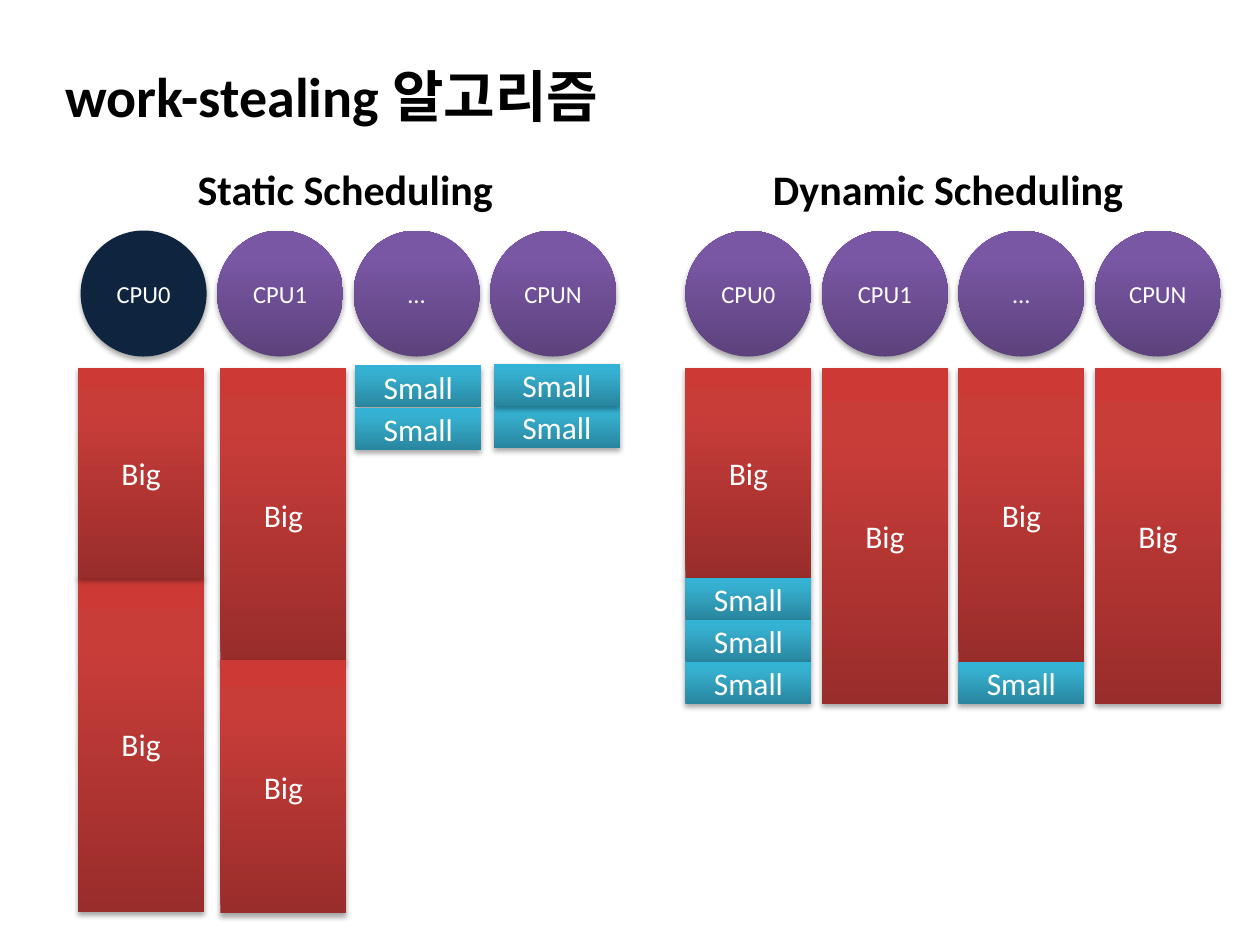
"""Slide comparing static and dynamic scheduling for the work-stealing algorithm."""
import pptx
import pptx.util
import pptx.oxml
import pptx.dml.color
import pptx.enum.shapes
import pptx.enum.text
from lxml import etree
from pptx.oxml.ns import qn

Inches, Pt = pptx.util.Inches, pptx.util.Pt
RGB = pptx.dml.color.RGBColor.from_string
SHAPE = pptx.enum.shapes.MSO_SHAPE
ALIGN = pptx.enum.text.PP_ALIGN
COLORS = {"text": "000000", "label": "FFFFFF", "shadow": "000000", "navy": "0F243E"}
GRADIENTS = {
    "cpu": ("5D427D", "7A57A5", "7A56A7"),
    "Big": ("992D2B", "C93D39", "CD3A36"),
    "Small": ("29859E", "36B0D0", "33B3D5"),
}


def add_block(shapes, kind, label, size, left, top, height, gradient):
    sp = shapes.add_shape(kind, Inches(left), Inches(top), Inches(1), Inches(height))
    if gradient:
        sp.fill.gradient()
        grad = sp._element.spPr.find(qn("a:gradFill"))
        stops = grad.find(qn("a:gsLst"))
        for old in list(stops):
            stops.remove(old)
        for pos, color in zip((0, 80000, 100000), GRADIENTS[gradient]):
            gs = etree.SubElement(stops, qn("a:gs"), pos=str(pos))
            etree.SubElement(gs, qn("a:srgbClr"), val=color)
        grad.find(qn("a:lin")).set("ang", "16200000")
    else:
        sp.fill.solid()
        sp.fill.fore_color.rgb = RGB(COLORS["navy"])
    sp.line.fill.background()
    sp.shadow.inherit = False
    effects = sp._element.spPr.find(qn("a:effectLst"))
    shadow = etree.SubElement(effects, qn("a:outerShdw"), blurRad="40000", dist="23000",
                              dir="5400000", rotWithShape="0")
    color = etree.SubElement(shadow, qn("a:srgbClr"), val=COLORS["shadow"])
    etree.SubElement(color, qn("a:alpha"), val="35000")
    tf = sp.text_frame
    tf.vertical_anchor = pptx.enum.text.MSO_ANCHOR.MIDDLE
    p = tf.paragraphs[0]
    p.text = label
    p.alignment = ALIGN.CENTER
    p.font.name = "Calibri"
    p.font.size = Pt(size)
    p.font.color.rgb = RGB(COLORS["label"])


def add_heading(shapes, text, size, left, top, width, height, align):
    tf = shapes.add_textbox(Inches(left), Inches(top), Inches(width), Inches(height)).text_frame
    tf.word_wrap = True
    p = tf.paragraphs[0]
    p.text = text
    p.alignment = align
    p.font.name = "Calibri"
    p.font.size = Pt(size)
    p.font.bold = True
    p.font.color.rgb = RGB(COLORS["text"])


prs = pptx.Presentation()
prs.slide_width, prs.slide_height = Inches(10), Inches(7.5)
s = prs.slides.add_slide(prs.slide_layouts[6])

PITCH = 13 / 12
SMALL = 1 / 3
DYNAMIC_LEFT, STATIC_LEFT = 5.44, 0.64
dynamic_stacks = [
    (1, [("Big", 8 * SMALL)]),
    (2, [("Big", 7 * SMALL), ("Small", SMALL)]),
    (3, [("Big", 8 * SMALL)]),
    (0, [("Big", 5 * SMALL)] + [("Small", SMALL)] * 3),
]
dynamic_tasks = []
for column, stack in dynamic_stacks:
    top = 2.92
    for task, height in stack:
        dynamic_tasks.append((task, DYNAMIC_LEFT + column * PITCH, top, height))
        top += height
static_tasks = [
    ("Big", 0.62, 4.57, 2.67),
    ("Big", 1.75, 2.92, 2.33),
    ("Big", 1.75, 5.24, 2.01),
    ("Small", 2.82, 2.9, SMALL),
    ("Small", 2.82, 3.24, SMALL),
    ("Small", 3.92, 3.22, SMALL),
    ("Small", 3.92, 2.89, SMALL),
    ("Big", 0.62, 2.92, 1.67),
]
panels = [
    ("Dynamic Scheduling", DYNAMIC_LEFT, dynamic_tasks, "cpu", 5.44, 4.17, ALIGN.CENTER),
    ("Static Scheduling", STATIC_LEFT, static_tasks, None, 1.47, 3.09, ALIGN.LEFT),
]
for heading, left, tasks, first_fill, text_left, text_width, align in panels:
    shapes = s.shapes.add_group_shape().shapes
    for i, cpu in enumerate(("CPU0", "CPU1", "…", "CPUN")):
        add_block(shapes, SHAPE.OVAL, cpu, 14, left + i * PITCH, 1.83, 1,
                  "cpu" if i else first_fill)
    for task, task_left, top, height in tasks:
        add_block(shapes, SHAPE.RECTANGLE, task, 18, task_left, top, height, task)
    add_heading(shapes, heading, 24, text_left, 1.25, text_width, 0.5, align)

add_heading(s.shapes, "work-stealing 알고리즘", 32, 0.42, 0.44, 8.92, 0.64, ALIGN.LEFT)
prs.save("out.pptx")
